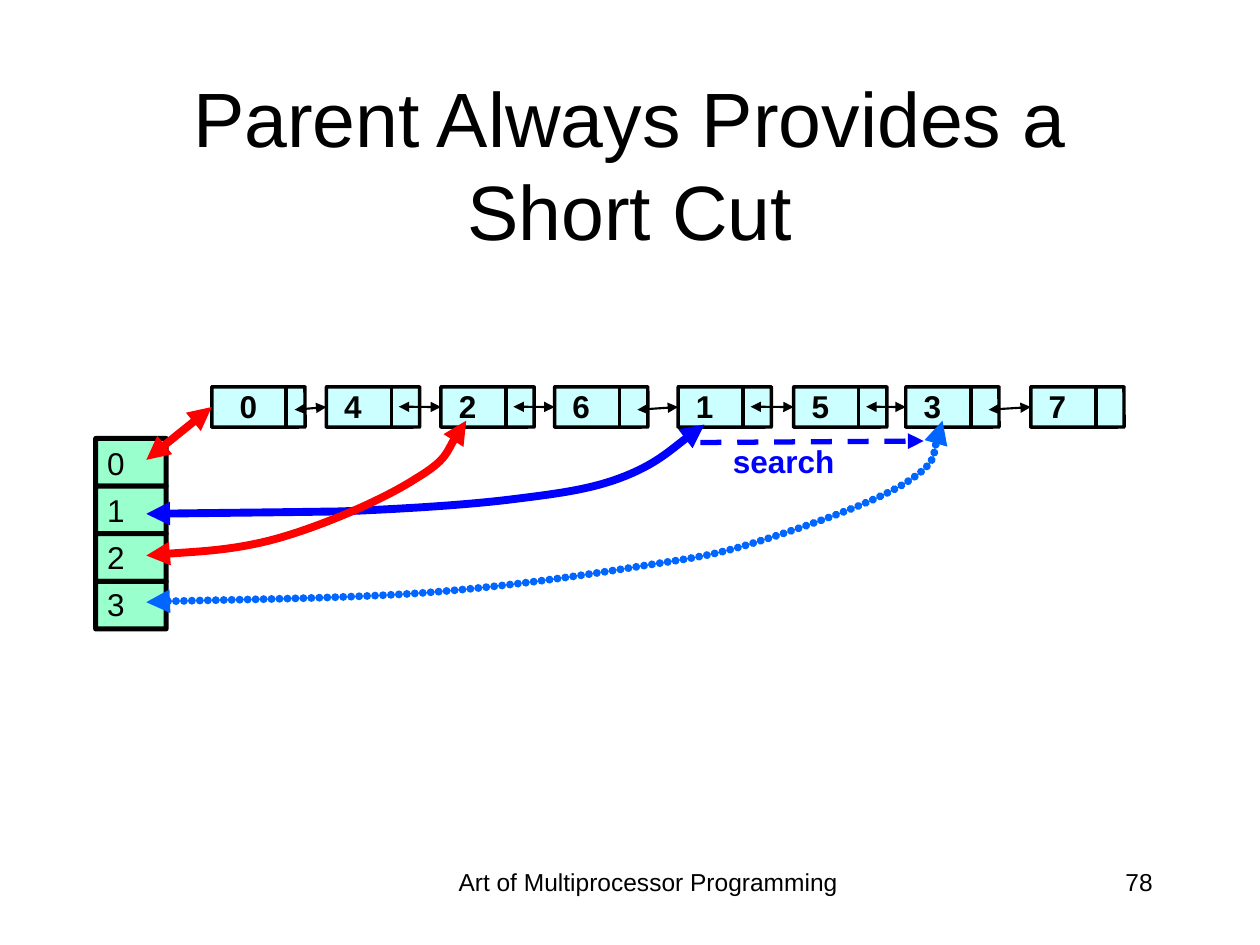
import lxml.etree
import pptx
import pptx.dml.color
import pptx.enum.dml
import pptx.enum.shapes
import pptx.enum.text
import pptx.oxml.ns
import pptx.util

Cm, Pt = pptx.util.Cm, pptx.util.Pt
ALIGN = pptx.enum.text.PP_ALIGN
ANCHOR = pptx.enum.text.MSO_ANCHOR
FIT = pptx.enum.text.MSO_AUTO_SIZE
qn = pptx.oxml.ns.qn

COLORS = {"ink": "000000", "label": "020202", "node": "CCFFFF", "slot": "99FFCC",
          "red": "FF0000", "blue": "0000FF", "sky": "0066FF"}
NODES = [("0", 4.27), ("4", 6.58), ("2", 8.89), ("6", 11.18),
         ("1", 13.67), ("5", 16), ("3", 18.26), ("7", 20.78)]
SLANTED = ("0", "6", "3")
CURVES = [
    ("blue", False, [(2.95, 10.36), (4.26, 10.34), (5.57, 10.33), (6.88, 10.31),
                     (8.08, 10.26), (9.27, 10.19), (10.21, 10.08),
                     (11.18, 9.96), (11.86, 9.88), (12.52, 9.63),
                     (13.21, 9.37), (13.87, 8.79), (14.2, 8.56)]),
    ("sky", True, [(2.95, 12.14), (3.91, 12.09), (7.01, 12.07), (8.69, 11.94),
                   (10.36, 11.81), (11.89, 11.58), (13, 11.4),
                   (14.1, 11.23), (14.45, 11.18), (15.34, 10.9),
                   (16.23, 10.62), (17.7, 10.11), (18.31, 9.7),
                   (18.92, 9.3), (18.87, 8.74), (19, 8.48)]),
    ("red", False, [(2.95, 11.2), (3.4, 11.15), (4.72, 11.1), (5.61, 10.85),
                    (6.53, 10.59), (7.75, 10.06), (8.38, 9.65),
                    (9.02, 9.27), (9.19, 8.74), (9.4, 8.48)]),
]


def tone(name):
    """Return the named colour."""
    return pptx.dml.color.RGBColor.from_string(COLORS[name])


def write(frame, text, size=18, color="label", bold=False, align=ALIGN.LEFT,
          anchor=ANCHOR.TOP, wrap=False, inset=0.23, lead=None, above=None):
    """Fill a text frame with one formatted paragraph."""
    frame.word_wrap = wrap
    frame.auto_size = FIT.NONE if wrap else FIT.SHAPE_TO_FIT_TEXT
    frame.vertical_anchor = anchor
    frame.margin_left = frame.margin_right = Cm(inset)
    frame.margin_top = frame.margin_bottom = Cm(0.13)
    para = frame.paragraphs[0]
    para.alignment, para.line_spacing, para.space_before = align, lead, above
    run = para.add_run()
    run.text = text
    run.font.name, run.font.size, run.font.bold = "Arial", Pt(size), bold
    run.font.color.rgb = tone(color)


def label(slide, text, left, top, width=0.81, height=0.99, **style):
    """Add a text box."""
    box = slide.shapes.add_textbox(Cm(left), Cm(top), Cm(width), Cm(height))
    write(box.text_frame, text, **style)


def block(slide, left, top, width, height, fill, weight):
    """Add an outlined box."""
    kind = pptx.enum.shapes.MSO_SHAPE.ROUNDED_RECTANGLE
    box = slide.shapes.add_shape(kind, Cm(left), Cm(top), Cm(width), Cm(height))
    box.adjustments[0] = 0.004
    box.shadow.inherit = False
    box.fill.solid()
    box.fill.fore_color.rgb = tone(fill)
    box.line.color.rgb = tone("ink")
    box.line.width = Pt(weight)
    return box


def tips(shape, *ends):
    """Put triangle arrowheads on the given ends of a line."""
    for end in ends:
        lxml.etree.SubElement(shape.line._get_or_add_ln(), qn("a:" + end), type="triangle")


def line(slide, start, stop, color="ink", weight=1.98, dash=None, ends=(), goal=None):
    """Add a straight line, joined to the left side of goal if given."""
    kind = pptx.enum.shapes.MSO_CONNECTOR.STRAIGHT
    link = slide.shapes.add_connector(kind, *map(Cm, start + stop))
    if goal is not None:
        link.end_connect(goal, 1)
    link.line.color.rgb = tone(color)
    link.line.width = Pt(weight)
    if dash:
        link.line.dash_style = dash
    tips(link, *ends)
    lxml.etree.SubElement(link._element.spPr, qn("a:effectLst"))


def curve(slide, color, dotted, points):
    """Add a Bezier curve through groups of three points, with two arrowheads."""
    first, *rest = [(Cm(x), Cm(y)) for x, y in points]
    pen = slide.shapes.build_freeform(*first)
    pen.add_line_segments(rest, close=False)
    shape = pen.convert_to_shape()
    steps = list(shape._element.iter(qn("a:lnTo")))
    for i in range(0, len(steps), 3):
        bend = lxml.etree.Element(qn("a:cubicBezTo"))
        steps[i].addprevious(bend)
        for step in steps[i:i + 3]:
            bend.append(step[0])
            step.getparent().remove(step)
    shape.shadow.inherit = False
    shape.fill.background()
    shape.line.color.rgb = tone(color)
    shape.line.width = Pt(4.5)
    if dotted:
        edge = shape.line._get_or_add_ln()
        edge.set("cap", "rnd")
        dots = lxml.etree.SubElement(edge, qn("a:custDash"))
        lxml.etree.SubElement(dots, qn("a:ds"), d="1000", sp="100000")
    tips(shape, "headEnd", "tailEnd")


def chain(slide):
    """Draw the linked list and return its first node."""
    both = ("headEnd", "tailEnd")
    boxes = []
    for text, left in NODES:
        boxes.append(block(slide, left, 7.8, 1.88, 0.81, "node", 1.98))
        split = left + (1.5 if text == "0" else 1.31)
        line(slide, (split, 7.82), (split, 8.61))
        shift = 0.33 if text == "0" else 0.13
        label(slide, text, left + shift, 7.67, bold=True)
    for (text, left), (_, right), goal in zip(NODES, NODES[1:], boxes[1:]):
        slant = text in SLANTED
        start = (left + 1.67, 8.26) if slant else (left + 1.46, 8.2)
        line(slide, start, (right, 8.2), weight=1.22, ends=both, goal=goal)
    return boxes[0]


def table(slide):
    """Draw the column of bucket slots."""
    for i in range(4):
        block(slide, 1.93, 8.84 + 0.96 * i, 1.42, 0.96, "slot", 2.83)
        label(slide, str(i), 1.93, 8.82 + 0.95 * i)


def main():
    """Build the slide and save it."""
    deck = pptx.Presentation()
    deck.slide_width, deck.slide_height = Cm(25.4), Cm(19.05)
    slide = deck.slides.add_slide(deck.slide_layouts[5])
    title = slide.shapes.title
    title.left, title.top, title.width, title.height = map(Cm, (1.9, 1.7, 21.6, 3.18))
    write(title.text_frame, "Parent Always Provides a Short Cut", size=44, color="ink",
          align=ALIGN.CENTER, anchor=ANCHOR.MIDDLE, wrap=True, inset=0.25)
    label(slide, "Art of Multiprocessor Programming", 8.69, 17.35, 8.76, 1.27,
          size=14, color="ink", align=ALIGN.CENTER, wrap=True, inset=0.25)
    label(slide, "78", 18.21, 17.35, 5.28, 1.27,
          size=14, color="ink", align=ALIGN.RIGHT, wrap=True, inset=0.25)
    head = chain(slide)
    table(slide)
    line(slide, (2.95, 9.27), (4.27, 8.2), "red", 4.5, ends=("headEnd", "tailEnd"), goal=head)
    for color, dotted, points in CURVES:
        curve(slide, color, dotted, points)
    line(slide, (14.12, 8.92), (18.62, 8.89), "blue", 3,
         dash=pptx.enum.dml.MSO_LINE.DASH, ends=("tailEnd",))
    label(slide, "search", 14.53, 8.99, 2.54, 0.79, color="blue", bold=True,
          align=ALIGN.CENTER, anchor=ANCHOR.MIDDLE, inset=0.1, lead=0.7, above=Pt(6.8))
    deck.save("out.pptx")


if __name__ == "__main__":
    main()
